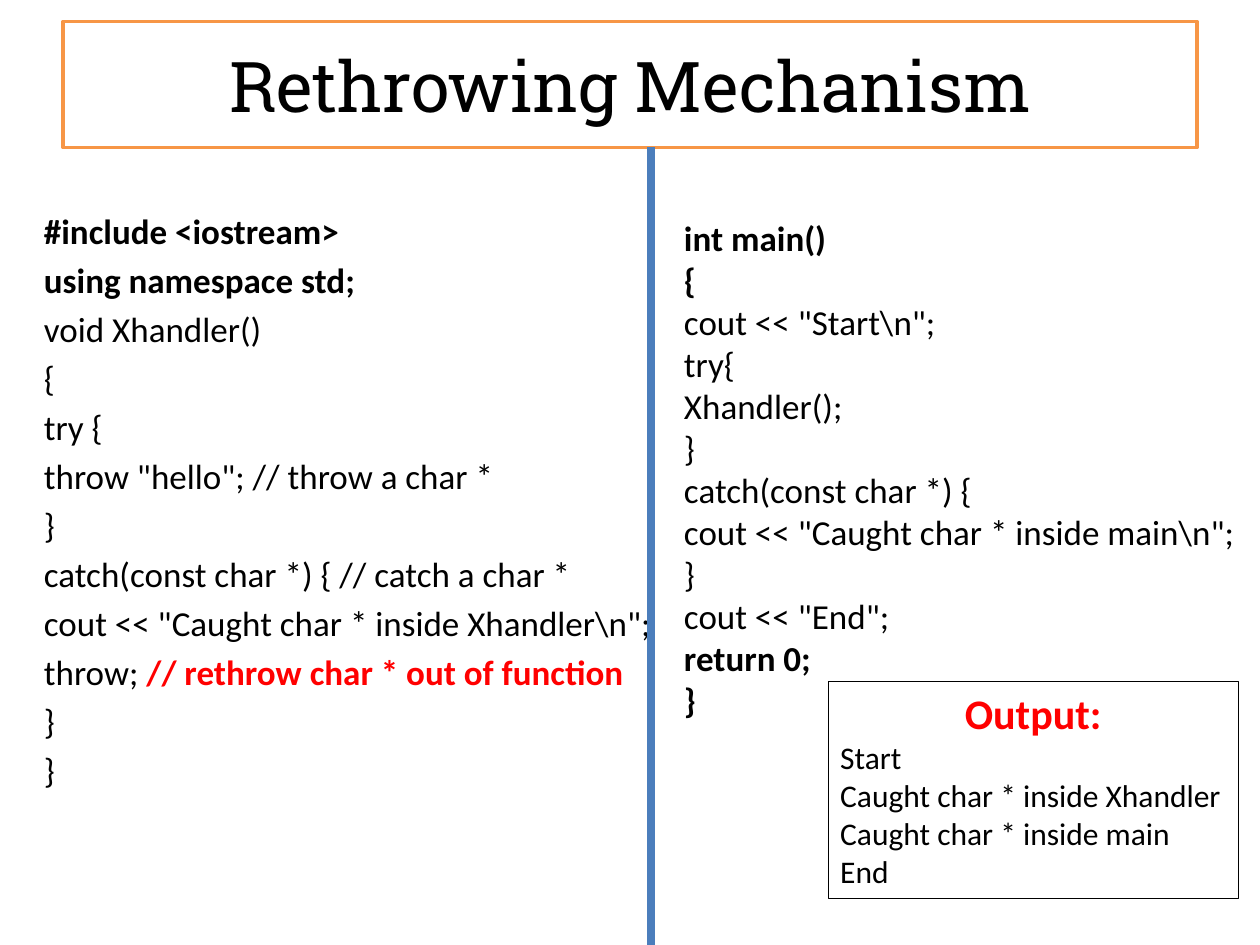
from dataclasses import dataclass

from lxml import etree
from pptx import Presentation
from pptx.dml.color import RGBColor
from pptx.enum import shapes, text
from pptx.oxml import ns
from pptx.util import Inches, Pt

BLACK = RGBColor(0x00, 0x00, 0x00)
WHITE = RGBColor(0xFF, 0xFF, 0xFF)
RED = RGBColor(0xFF, 0x00, 0x00)
ORANGE = RGBColor(0xF7, 0x96, 0x46)
BLUE = RGBColor(0x4B, 0x7E, 0xBC)


@dataclass
class Span:
    words: str
    size: int = 20
    bold: bool = False
    color: RGBColor = BLACK


@dataclass
class Panel:
    left: float
    top: float
    width: float
    height: float
    lines: list[list[Span]]
    margin_top: float = 0.05
    space_before: float = 0
    wrap: bool = False


def code(source: str, bold_lines: tuple[int, ...] = ()) -> list[list[Span]]:
    return [[Span(line, bold=index in bold_lines)]
            for index, line in enumerate(source.splitlines())]


def add_panel(page, panel: Panel):
    box = page.shapes.add_textbox(Inches(panel.left), Inches(panel.top),
                                  Inches(panel.width), Inches(panel.height))
    frame = box.text_frame
    frame.word_wrap = panel.wrap
    frame.margin_top = Inches(panel.margin_top)
    frame.text = "\n".join("" for _ in panel.lines)
    for index, (para, spans) in enumerate(zip(frame.paragraphs, panel.lines)):
        para.space_before = Pt(panel.space_before if index else 0)
        for span in spans:
            run = para.add_run()
            run.text = span.words
            run.font.name = "Calibri"
            run.font.size = Pt(span.size)
            run.font.bold = span.bold
            run.font.color.rgb = span.color
    return box


def add_title(page, words: str) -> None:
    title = page.shapes.title
    title.left, title.top = Inches(0.5), Inches(0.17)
    title.width, title.height = Inches(9), Inches(1)
    title.fill.solid()
    title.fill.fore_color.rgb = WHITE
    title.line.color.rgb = ORANGE
    title.line.width = Pt(2)
    title.text_frame.text = words
    title.text_frame.vertical_anchor = text.MSO_ANCHOR.MIDDLE
    para = title.text_frame.paragraphs[0]
    para.alignment = text.PP_ALIGN.CENTER
    font = para.runs[0].font
    font.name = "Roboto Slab"
    font.size = Pt(40)
    font.color.rgb = BLACK


def add_divider(page) -> None:
    divider = page.shapes.add_connector(
        shapes.MSO_CONNECTOR.STRAIGHT,
        Inches(5.17), Inches(1.17), Inches(5.17), Inches(7.5))
    divider.line.color.rgb = BLUE
    divider.line.width = Pt(4.5)
    etree.SubElement(divider._element.spPr, ns.qn("a:effectLst"))


HANDLER = code(r'''#include <iostream>
using namespace std;
void Xhandler()
{
try {
throw "hello"; // throw a char *
}
catch(const char *) { // catch a char *
cout << "Caught char * inside Xhandler\n";
throw; 
}
}''', bold_lines=(0, 1))
HANDLER[9].append(Span("// rethrow char * out of function", bold=True, color=RED))

MAIN = code(r'''int main()
{
cout << "Start\n";
try{
Xhandler();
}
catch(const char *) {
cout << "Caught char * inside main\n";
}
cout << "End";
return 0;
}''', bold_lines=(0, 1, 10, 11))

OUTPUT = [[Span("Output:", 24, True, RED)]] + [
    [Span(line, 18)] for line in (
        "Start", "Caught char * inside Xhandler", "Caught char * inside main", "End")]

deck = Presentation()
deck.slide_width, deck.slide_height = Inches(10), Inches(7.5)
page = deck.slides.add_slide(deck.slide_layouts[5])

add_panel(page, Panel(0.25, 1.25, 9.25, 6, HANDLER, 0.41, 4, True))
add_title(page, "Rethrowing Mechanism")
add_divider(page)
add_panel(page, Panel(5.33, 1.33, 4.61, 4.78, MAIN, 0.39))
output = add_panel(page, Panel(6.57, 5.41, 3.26, 1.72, OUTPUT))
output.line.color.rgb = BLACK
output.line.width = Pt(0.25)
output.text_frame.paragraphs[0].alignment = text.PP_ALIGN.CENTER

deck.save("out.pptx")
